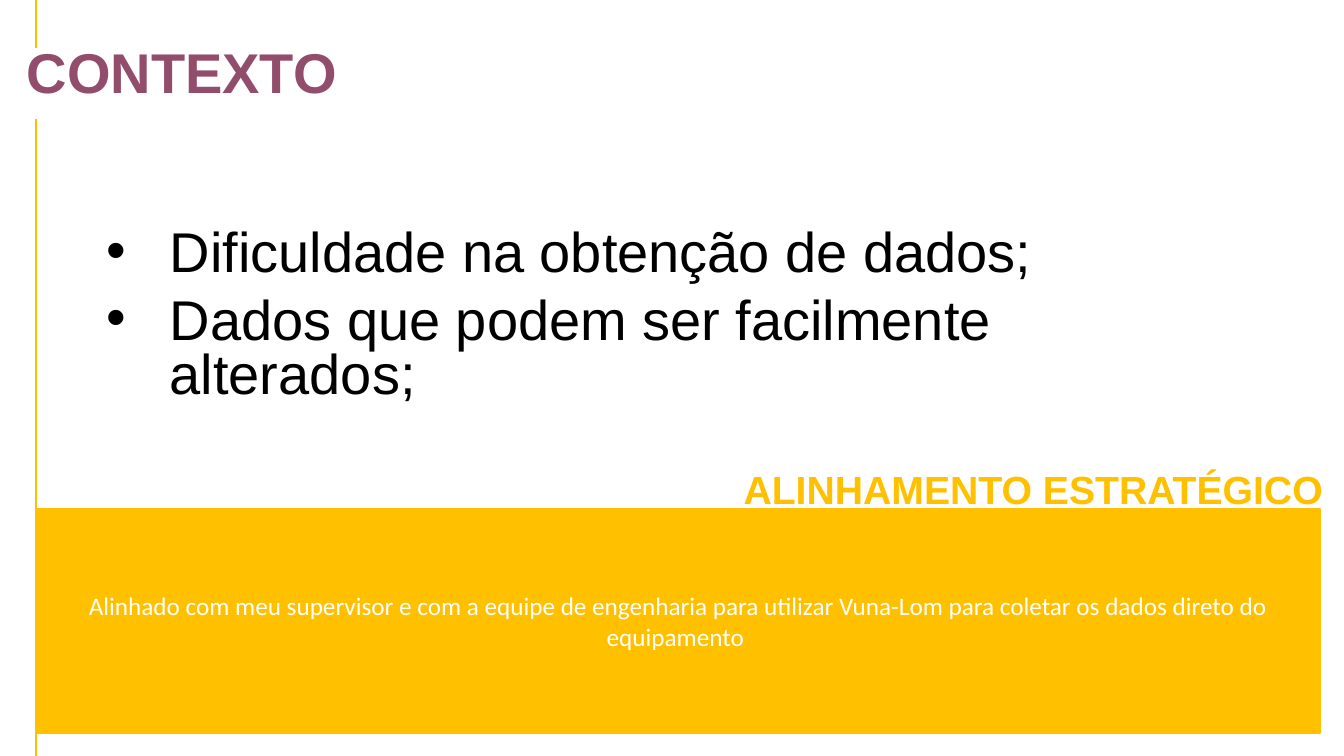
from lxml import etree
from pptx import Presentation
from pptx.dml.color import RGBColor
from pptx.enum.shapes import MSO_CONNECTOR as Connector, MSO_SHAPE as Shape
from pptx.enum.text import MSO_ANCHOR as Anchor, PP_ALIGN as Align
from pptx.oxml.ns import qn
from pptx.util import Cm, Pt

GOLD = "FFC000"
PLUM = "924C6C"
WHITE = "FFFFFF"
BLACK = "000000"
RULE_X = 0.91


def colour(value):
    return RGBColor.from_string(value)


def add_span(para, text, size, value, font="Arial", bold=False):
    span = para.add_run()
    span.text = text
    span.font.name = font
    span.font.size = Pt(size)
    span.font.bold = bold
    span.font.color.rgb = colour(value)


def add_box(page, left, top, width, height):
    box = page.shapes.add_textbox(Cm(left), Cm(top), Cm(width), Cm(height))
    box.text_frame.word_wrap = True
    return box.text_frame


def tighten(para):
    para.line_spacing = 0.8
    para.space_before = Pt(10)


def add_heading(page, text, left, top, width, height, size, value):
    para = add_box(page, left, top, width, height).paragraphs[0]
    add_span(para, text, size, value, bold=True)
    return para


def add_bullets(page, items, left, top, width, height):
    frame = add_box(page, left, top, width, height)
    for index, item in enumerate(items):
        para = frame.add_paragraph() if index else frame.paragraphs[0]
        tighten(para)
        add_span(para, item, 40, BLACK)
        properties = para._p.get_or_add_pPr()
        indent = Cm(1.59)
        properties.set("marL", str(indent))
        properties.set("indent", str(-indent))
        etree.SubElement(properties, qn("a:buFont"), typeface="Arial")
        etree.SubElement(properties, qn("a:buChar"), char="•")


def add_rule(page, top, bottom):
    rule = page.shapes.add_connector(
        Connector.STRAIGHT, Cm(RULE_X), Cm(top), Cm(RULE_X), Cm(bottom))
    rule.line.color.rgb = colour(GOLD)
    rule.line.width = Pt(1.5)
    etree.SubElement(rule._element.spPr, qn("a:effectLst"))


def add_band(page, text, top, width, height):
    band = page.shapes.add_shape(
        Shape.RECTANGLE, Cm(RULE_X), Cm(top), Cm(width), Cm(height))
    band.shadow.inherit = False
    band.fill.solid()
    band.fill.fore_color.rgb = colour(GOLD)
    band.line.color.rgb = colour(GOLD)
    band.line.width = Pt(1)
    frame = band.text_frame
    frame.word_wrap = True
    frame.vertical_anchor = Anchor.MIDDLE
    para = frame.paragraphs[0]
    para.alignment = Align.CENTER
    add_span(para, text, 18, WHITE, font="Calibri")


def main():
    deck = Presentation()
    deck.slide_width = Cm(33.87)
    deck.slide_height = Cm(19.05)
    page = deck.slides.add_slide(deck.slide_layouts[6])

    tighten(add_heading(page, "CONTEXTO", 0.43, 1.14, 17.63, 1.85, 40, PLUM))
    add_rule(page, 0, 1.22)
    add_rule(page, 3, 19.05)
    add_band(page, "Alinhado com meu supervisor e com a equipe de engenharia para "
             "utilizar Vuna-Lom para coletar os dados direto do equipamento ",
             12.83, 32.36, 5.64)
    add_heading(page, "ALINHAMENTO ESTRATÉGICO", 18.49, 11.61, 16.03, 1.45, 28, GOLD)
    add_bullets(page, ["Dificuldade na obtenção de dados;",
                       "Dados que podem ser facilmente alterados;"],
                2.44, 5.66, 28.02, 9.88)

    deck.save("out.pptx")


if __name__ == "__main__":
    main()
